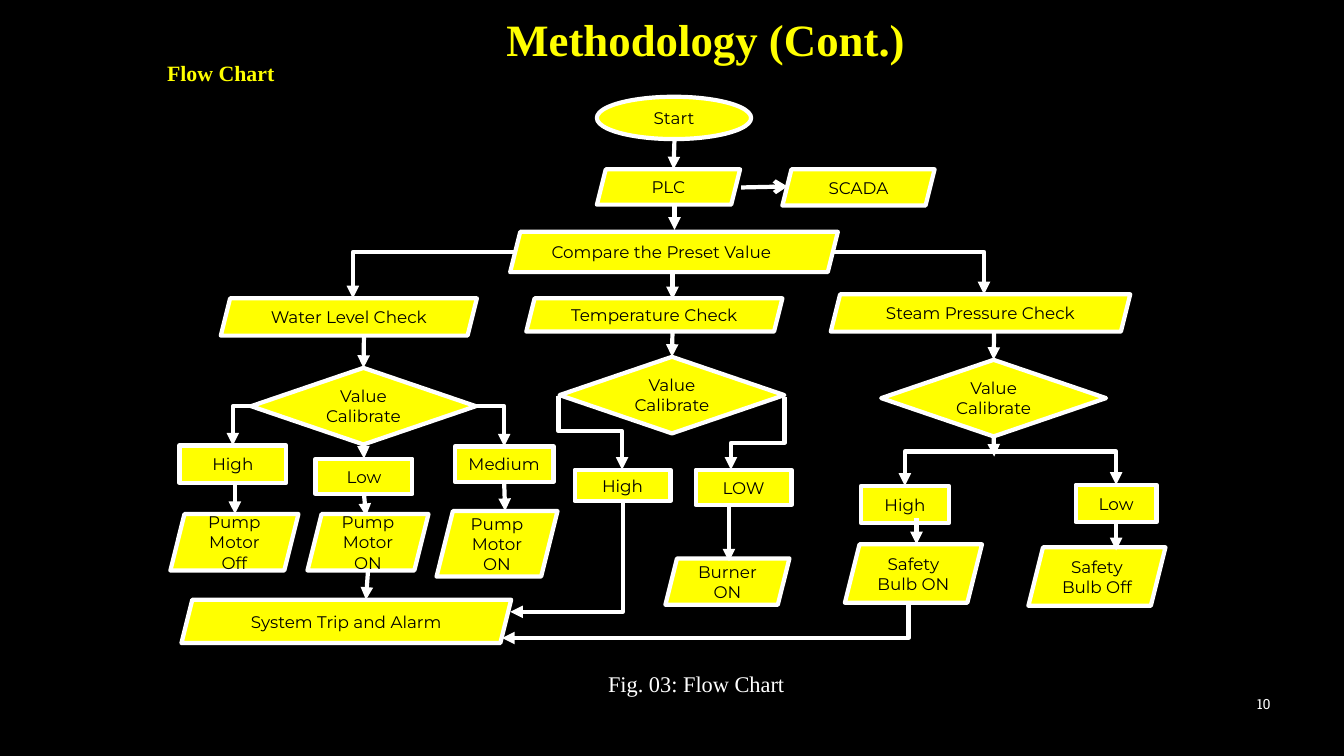
import pptx
import pptx.dml.color
import pptx.enum.shapes
import pptx.enum.text
import pptx.oxml
import pptx.oxml.ns
import pptx.util

RGBColor = pptx.dml.color.RGBColor
BLACK = RGBColor(0, 0, 0)
YELLOW = RGBColor(255, 255, 0)
WHITE = RGBColor(255, 255, 255)

SHAPE = pptx.enum.shapes.MSO_SHAPE
CONNECTOR = pptx.enum.shapes.MSO_CONNECTOR
ALIGN = pptx.enum.text.PP_ALIGN
ANCHOR = pptx.enum.text.MSO_ANCHOR

EMU_PER_PX = 9144  # 100 px to the inch
TOP, LEFT, BOTTOM, RIGHT = range(4)


def px(length):
    return pptx.util.Emu(length * EMU_PER_PX)


def write(frame, text, font, size, color, bold=False, align=ALIGN.CENTER, anchor=ANCHOR.MIDDLE):
    frame.word_wrap = True
    frame.vertical_anchor = anchor
    for number, line in enumerate(text.split("\n")):
        paragraph = frame.add_paragraph() if number else frame.paragraphs[0]
        paragraph.alignment = align
        run = paragraph.add_run()
        run.text = line
        run.font.name = font
        run.font.size = pptx.util.Pt(size)
        run.font.bold = bold
        run.font.color.rgb = color


def add_label(slide, box, text, *style, **layout):
    label = slide.shapes.add_textbox(*map(px, box))
    write(label.text_frame, text, *style, **layout)
    return label


def add_step(slide, kind, box, text, align=ALIGN.CENTER):
    step = slide.shapes.add_shape(kind, *map(px, box))
    step.shadow.inherit = False
    step.fill.solid()
    step.fill.fore_color.rgb = YELLOW
    step.line.color.rgb = WHITE
    step.line.width = pptx.util.Pt(3)
    write(step.text_frame, text, "Montserrat", 12, BLACK, align=align)
    return step


def turn_downward(arrow):
    """Make an elbow leave its start downward instead of sideways."""
    x1, y1, x2, y2 = arrow.begin_x, arrow.begin_y, arrow.end_x, arrow.end_y
    across, down = abs(x2 - x1), y2 - y1
    arrow.left, arrow.top = (x1 + x2 - down) // 2, (y1 + y2 - across) // 2
    arrow.width, arrow.height = down, across
    frame = arrow._element.spPr.find(pptx.oxml.ns.qn("a:xfrm"))
    frame.attrib.pop("flipH", None)
    frame.set("rot", str(90 * 60000))
    if x2 > x1:
        frame.set("flipV", "1")


def add_arrow(slide, start, end, bend=None, downward=False, turn=None, head="triangle"):
    """Each end is a point, or a step and one of its sides."""
    kind = CONNECTOR.ELBOW if bend else CONNECTOR.STRAIGHT
    free = [end_ if isinstance(end_[0], int) else (0, 0) for end_ in (start, end)]
    arrow = slide.shapes.add_connector(kind, *map(px, free[0] + free[1]))
    if not isinstance(start[0], int):
        arrow.begin_connect(*start)
    if not isinstance(end[0], int):
        arrow.end_connect(*end)
    if downward:
        turn_downward(arrow)
    properties = arrow._element.spPr
    geometry = properties.find(pptx.oxml.ns.qn("a:prstGeom"))
    if bend:
        geometry.set("prst", bend)
    if turn:
        guides = geometry.get_or_add_avLst()
        guide = pptx.oxml.parse_xml(
            f'<a:gd {pptx.oxml.ns.nsdecls("a")} name="adj1" fmla="val {turn * 1000}"/>')
        guides.append(guide)
    arrow.line.color.rgb = WHITE
    arrow.line.width = pptx.util.Pt(3)
    tip = pptx.oxml.parse_xml(f'<a:tailEnd {pptx.oxml.ns.nsdecls("a")} type="{head}"/>')
    arrow.line._get_or_add_ln().append(tip)
    properties.append(pptx.oxml.parse_xml(f'<a:effectLst {pptx.oxml.ns.nsdecls("a")}/>'))


def add_texts(slide):
    title = slide.shapes.title
    title.left, title.top, title.width, title.height = map(px, (450, 7, 500, 64))
    write(title.text_frame, "Methodology (Cont.)", "Times New Roman", 32, YELLOW,
          bold=True, anchor=ANCHOR.TOP)
    heading = add_label(slide, (123, 51, 192, 40), "Flow Chart", "Times New Roman", 15.6,
                        YELLOW, bold=True, anchor=ANCHOR.BOTTOM)
    heading.text_frame.paragraphs[0].line_spacing = 0.9
    add_label(slide, (496, 658, 389, 40), "Fig. 03: Flow Chart", "Times New Roman", 16, WHITE)
    add_label(slide, (1208, 678, 62, 40), "10", "Roboto Slab", 10, WHITE, align=ALIGN.RIGHT)


def add_flow_chart(slide):
    # Start, controller and the three checks
    add_step(slide, SHAPE.OVAL, (592, 96, 153, 42), "Start")
    add_step(slide, SHAPE.PARALLELOGRAM, (506, 230, 325, 40), "Compare the Preset Value",
             ALIGN.LEFT)
    for box, text in (
        ((592, 168, 142, 35), "PLC"),
        ((776, 168, 151, 36), "SCADA"),
        ((219, 296, 254, 37), "Water Level Check"),
        ((522, 296, 254, 33), "Temperature Check"),
        ((824, 292, 297, 37), "Steam Pressure Check"),
        # Outcomes
        ((169, 510, 127, 56), "Pump Motor Off"),
        ((305, 510, 120, 56), "Pump Motor ON"),
        ((433, 507, 120, 65), "Pump Motor ON"),
        ((660, 554, 123, 46), "Burner ON"),
        ((838, 540, 136, 58), "Safety Bulb ON"),
        ((1020, 543, 136, 58), "Safety Bulb Off"),
        ((180, 595, 327, 43), "System Trip and Alarm"),
    ):
        add_step(slide, SHAPE.PARALLELOGRAM, box, text)

    # Decisions
    water, temperature, steam = (
        add_step(slide, SHAPE.FLOWCHART_DECISION, (left, top, 223, 76), "Value\nCalibrate")
        for left, top in ((249, 365), (555, 354), (874, 357)))

    # Levels found by each decision
    water_high, water_low, water_medium, hot, cool, steam_high, steam_low = (
        add_step(slide, SHAPE.FLOWCHART_PROCESS, box, text)
        for box, text in (
            ((178, 442, 106, 37), "High"), ((313, 455, 96, 35), "Low"),
            ((451, 443, 98, 35), "Medium"), ((570, 466, 95, 31), "High"),
            ((690, 466, 95, 35), "LOW"), ((854, 482, 87, 37), "High"),
            ((1067, 481, 80, 37), "Low")))

    # Straight arrows
    for start, end in (
        ((669, 138), (668, 168)),
        ((669, 201), (669, 228)),
        ((667, 270), (667, 297)),
        ((361, 333), (water, TOP)),
        ((667, 329), (temperature, TOP)),
        ((986, 329), (steam, TOP)),
        ((water, BOTTOM), (water_low, TOP)),
        ((steam, BOTTOM), (986, 453)),
        ((233, 478), (233, 510)),
        ((water_low, BOTTOM), (363, 512)),
        ((water_medium, BOTTOM), (501, 507)),
        ((723, 500), (723, 557)),
        ((909, 514), (909, 540)),
        ((steam_low, BOTTOM), (1107, 546)),
        ((365, 566), (363, 595)),
    ):
        add_arrow(slide, start, end)
    add_arrow(slide, (735, 186), (781, 185), head="arrow")

    # Elbows that go sideways, then down
    for start, end in (
        ((511, 250), (350, 296)),
        ((826, 250), (976, 292)),
        ((water, LEFT), (water_high, TOP)),
        ((water, RIGHT), (water_medium, TOP)),
        ((986, 448), (steam_high, TOP)),
        ((986, 448), (steam_low, TOP)),
    ):
        add_arrow(slide, start, end, "bentConnector2")

    # Elbows that go down, then left to the alarm
    add_arrow(slide, (hot, BOTTOM), (506, 607), "bentConnector2", downward=True)
    add_arrow(slide, (901, 597), (498, 633), "bentConnector2", downward=True)

    # Elbows that go down, across and down, turning at a percentage of the drop
    add_arrow(slide, (554, 393), (617, 466), "bentConnector3", downward=True, turn=48)
    add_arrow(slide, (778, 394), (725, 466), "bentConnector3", downward=True, turn=63)


def main():
    deck = pptx.Presentation()
    deck.slide_width, deck.slide_height = px(1333), px(750)
    slide = deck.slides.add_slide(deck.slide_layouts[5])
    slide.background.fill.solid()
    slide.background.fill.fore_color.rgb = BLACK
    add_flow_chart(slide)
    add_texts(slide)
    deck.save("out.pptx")


if __name__ == "__main__":
    main()
